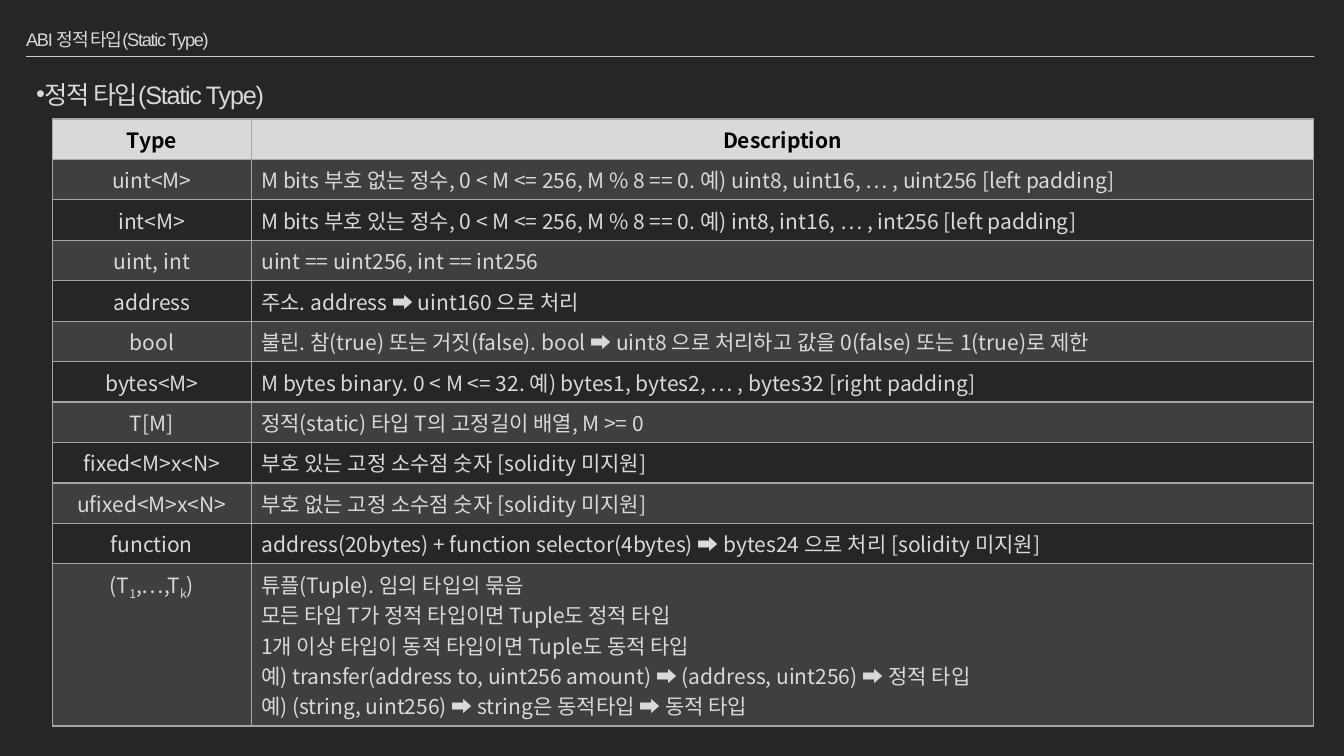
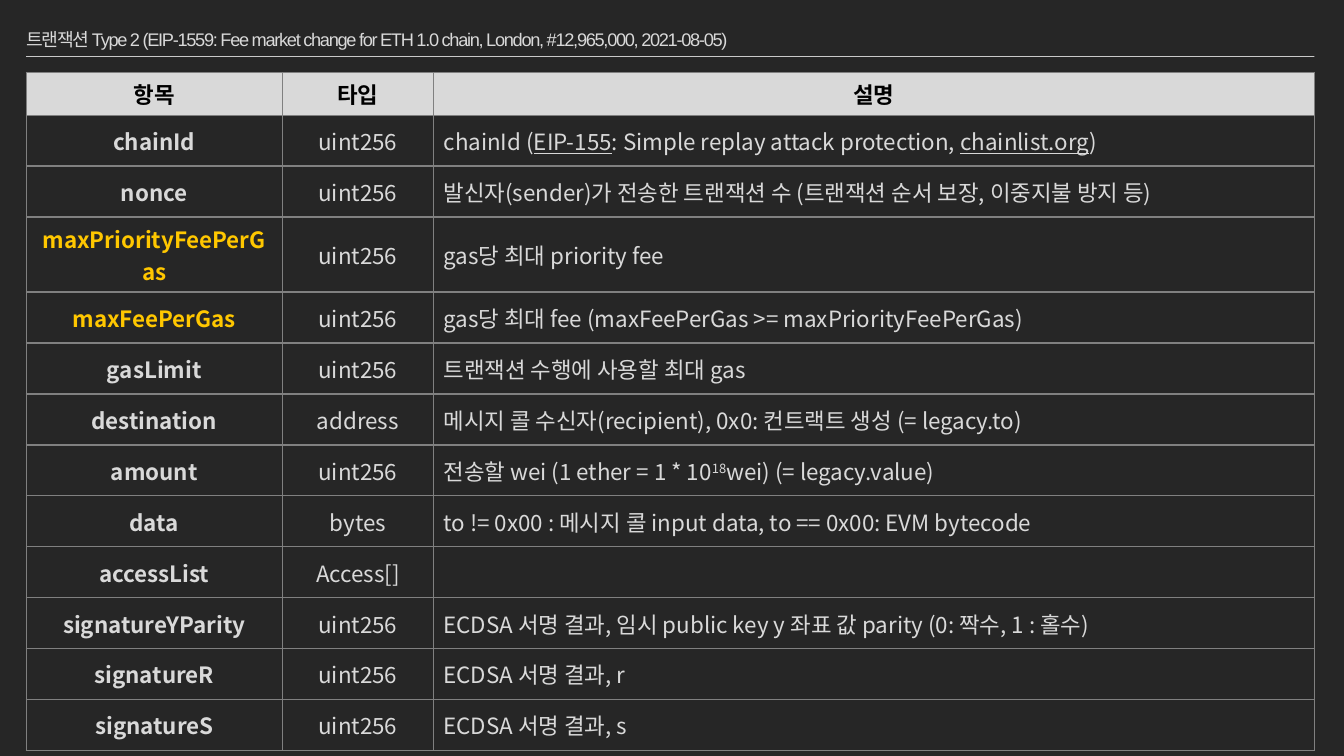
from lxml.etree import SubElement
from pptx import Presentation
from pptx.dml.color import RGBColor
from pptx.enum.shapes import MSO_CONNECTOR
from pptx.enum.text import MSO_ANCHOR, PP_ALIGN
from pptx.oxml.ns import qn
from pptx.util import Pt

COLORS = {
    "background": "262626",
    "text": "D9D9D9",
    "link": "D8D8D8",
    "header_text": "000000",
    "header_fill": "D9D9D9",
    "highlight": "FFC700",
    "band": "A5A5A5",
    "type_border": "A5A5A5",
    "field_border": "808080",
    "rule": "F2F2F2",
}
LATIN_FONT = "Arial"
TABLE_FONT = "Noto Sans CJK KR"
LEFT = 18.72
CONTENT_WIDTH = 920.16

TITLE = {"size": Pt(13), "name": LATIN_FONT, "color": "text", "spc": -90}
HEADING = {**TITLE, "size": Pt(18)}
TYPE_TEXT = {"size": Pt(15), "name": TABLE_FONT, "color": "text", "bold": False}
FIELD_TEXT = {**TYPE_TEXT, "size": Pt(16)}
HEADER = {"color": "header_text", "bold": True}
LINK = {"color": "link", "underline": True}
SUBSCRIPT = {"baseline": -25000}
SUPERSCRIPT = {"baseline": 30000}

TYPE_ROWS = [
    ("Type", "Description"),
    ("uint<M>", "M bits 부호 없는 정수, 0 < M <= 256, M % 8 == 0. 예) uint8, uint16, … , uint256 [left padding]"),
    ("int<M>", "M bits 부호 있는 정수, 0 < M <= 256, M % 8 == 0. 예) int8, int16, … , int256 [left padding]"),
    ("uint, int", "uint == uint256, int == int256"),
    ("address", "주소. address ➡ uint160 으로 처리"),
    ("bool", "불린. 참(true) 또는 거짓(false). bool ➡ uint8 으로 처리하고 값을 0(false) 또는 1(true)로 제한"),
    ("bytes<M>", "M bytes binary. 0 < M <= 32. 예) bytes1, bytes2, … , bytes32 [right padding]"),
    ("T[M]", "정적(static) 타입 T의 고정길이 배열, M >= 0"),
    ("fixed<M>x<N>", "부호 있는 고정 소수점 숫자 [solidity 미지원]"),
    ("ufixed<M>x<N>", "부호 없는 고정 소수점 숫자 [solidity 미지원]"),
    ("function", "address(20bytes) + function selector(4bytes) ➡ bytes24 으로 처리 [solidity 미지원]"),
    (
        [("(T", {}), ("1", SUBSCRIPT), (",…,T", {}), ("k", SUBSCRIPT), (")", {})],
        "튜플(Tuple). 임의 타입의 묶음\n"
        "모든 타입 T가 정적 타입이면 Tuple도 정적 타입\n"
        "1개 이상 타입이 동적 타입이면 Tuple도 동적 타입\n"
        "예) transfer(address to, uint256 amount) ➡ (address, uint256) ➡ 정적 타입\n"
        "예) (string, uint256) ➡ string은 동적타입 ➡ 동적 타입",
    ),
]
FIELD_ROWS = [
    ("항목", "타입", "설명"),
    ("chainId", "uint256", [
        ("chainId (", {}), ("EIP-155", LINK), (": Simple replay attack protection, ", {}),
        ("chainlist.org", LINK), (")", {}),
    ]),
    ("nonce", "uint256", "발신자(sender)가 전송한 트랜잭션 수 (트랜잭션 순서 보장, 이중지불 방지 등)"),
    ("maxPriorityFeePerGas", "uint256", "gas당 최대 priority fee"),
    ("maxFeePerGas", "uint256", "gas당 최대 fee (maxFeePerGas >= maxPriorityFeePerGas)"),
    ("gasLimit", "uint256", "트랜잭션 수행에 사용할 최대 gas"),
    ("destination", "address", "메시지 콜 수신자(recipient), 0x0: 컨트랙트 생성 (= legacy.to)"),
    ("amount", "uint256", [
        ("전송할 wei (1 ether = 1 * 10", {}), ("18", SUPERSCRIPT), ("wei) (= legacy.value)", {}),
    ]),
    ("data", "bytes", "to != 0x00 : 메시지 콜 input data, to == 0x00: EVM bytecode"),
    ("accessList", "Access[]", ""),
    ("signatureYParity", "uint256", "ECDSA 서명 결과, 임시 public key y 좌표 값 parity (0: 짝수, 1 : 홀수)"),
    ("signatureR", "uint256", "ECDSA 서명 결과, r"),
    ("signatureS", "uint256", "ECDSA 서명 결과, s"),
]
HIGHLIGHTED_FIELDS = {"maxPriorityFeePerGas", "maxFeePerGas"}


def rgb(name):
    return RGBColor.from_string(COLORS[name])


def set_alpha(fill_parent, percent):
    color = next(fill_parent.iter(qn("a:srgbClr")))
    SubElement(color, qn("a:alpha"), val=str(percent * 1000))


def format_run(run, style):
    properties = run._r.get_or_add_rPr()
    for key, value in style.items():
        if key == "color":
            run.font.color.rgb = rgb(value)
        elif key in ("spc", "baseline"):
            properties.set(key, str(value))
        else:
            setattr(run.font, key, value)
    SubElement(properties, qn("a:ea"), typeface=TABLE_FONT)


def write_text(frame, content, style, alignment=PP_ALIGN.LEFT, line_spacing=None):
    lines = [[(line, {})] for line in content.split("\n")] if isinstance(content, str) else [content]
    for index, runs in enumerate(lines):
        paragraph = frame.add_paragraph() if index else frame.paragraphs[0]
        paragraph.alignment = alignment
        paragraph.line_spacing = line_spacing
        for text, changes in runs:
            if text:
                run = paragraph.add_run()
                run.text = text
                format_run(run, {**style, **changes})


def add_text(slide, box, text, style, frame_format):
    frame = slide.shapes.add_textbox(*map(Pt, box)).text_frame
    for key, value in {"word_wrap": True, **frame_format}.items():
        setattr(frame, key, value)
    write_text(frame, text, style, line_spacing=1.05)
    return frame


def add_title(slide, text):
    left, top, width, height = LEFT, 15.12, CONTENT_WIDTH, 25.2
    add_text(slide, (left, top, width, height), text, TITLE, {
        "margin_left": 0, "margin_right": 0, "vertical_anchor": MSO_ANCHOR.MIDDLE,
    })
    bottom = top + height
    rule = slide.shapes.add_connector(
        MSO_CONNECTOR.STRAIGHT, *map(Pt, (left, bottom, left + width, bottom)))
    rule.line.color.rgb = rgb("rule")
    rule.line.width = Pt(0.5)
    properties = rule._element.spPr
    set_alpha(properties, 80)
    SubElement(properties, qn("a:effectLst"))


def add_heading(slide, box, text):
    frame = add_text(slide, box, text, HEADING, {})
    properties = frame.paragraphs[0]._p.get_or_add_pPr()
    properties.set("marL", "0")
    properties.set("indent", str(-Pt(11.5)))
    SubElement(properties, qn("a:buFont"), typeface=LATIN_FONT)
    SubElement(properties, qn("a:buChar"), char="•")


def format_cell(cell, border, fill, alpha):
    properties = cell._tc.get_or_add_tcPr()
    for side in ("lnL", "lnR", "lnT", "lnB"):
        line = SubElement(properties, qn(f"a:{side}"), w=str(Pt(1)))
        solid = SubElement(line, qn("a:solidFill"))
        SubElement(solid, qn("a:srgbClr"), val=COLORS[border])
    if fill is None:
        cell.fill.background()
        return
    cell.fill.solid()
    cell.fill.fore_color.rgb = rgb(fill)
    if alpha:
        set_alpha(properties.find(qn("a:solidFill")), alpha)


def add_grid(slide, left, top, widths, heights, rows, style, border,
             banded=False, anchor=MSO_ANCHOR.TOP, first_column=None):
    box = map(Pt, (left, top, sum(widths), sum(heights)))
    table = slide.shapes.add_table(len(rows), len(widths), *box).table
    table.first_row = table.horz_banding = False
    for column, width in zip(table.columns, widths):
        column.width = Pt(width)
    for row, height in zip(table.rows, heights):
        row.height = Pt(height)
    for row_index, values in enumerate(rows):
        is_header = row_index == 0
        for column_index, content in enumerate(values):
            cell = table.cell(row_index, column_index)
            fill, alpha = None, None
            if is_header:
                fill = "header_fill"
            elif banded and row_index % 2:
                fill, alpha = "band", 20
            format_cell(cell, border, fill, alpha)
            cell.vertical_anchor = MSO_ANCHOR.TOP if is_header else anchor
            changes = HEADER if is_header else {}
            if first_column and column_index == 0 and not is_header:
                changes = first_column(content)
            is_description = column_index == len(widths) - 1 and not is_header
            alignment = PP_ALIGN.LEFT if is_description else PP_ALIGN.CENTER
            write_text(cell.text_frame, content, {**style, **changes}, alignment)


def field_name_style(name):
    return {"bold": True, "color": "highlight" if name in HIGHLIGHTED_FIELDS else "text"}


def add_static_type_slide(slide):
    add_title(slide, "ABI 정적 타입(Static Type)")
    add_heading(slide, (LEFT, 51.84, CONTENT_WIDTH, 32), "정적 타입(Static Type)")
    heights = [28.9] * (len(TYPE_ROWS) - 1) + [115.8]
    add_grid(slide, 37.44, 85, (142, 759), heights, TYPE_ROWS, TYPE_TEXT,
             "type_border", banded=True)


def add_transaction_slide(slide):
    add_title(slide, "트랜잭션 Type 2 (EIP-1559: Fee market change for ETH 1.0 chain, "
                     "London, #12,965,000, 2021-08-05)")
    heights = [30.4] + [53.6 if row[0] == "maxPriorityFeePerGas" else 36.4 for row in FIELD_ROWS[1:]]
    add_grid(slide, LEFT, 51.84, (183, 108, 629), heights, FIELD_ROWS, FIELD_TEXT,
             "field_border", anchor=MSO_ANCHOR.MIDDLE, first_column=field_name_style)


def main():
    presentation = Presentation()
    presentation.slide_width, presentation.slide_height = Pt(960), Pt(540)
    background = presentation.slide_master.background.fill
    background.solid()
    background.fore_color.rgb = rgb("background")
    for build in (add_static_type_slide, add_transaction_slide):
        build(presentation.slides.add_slide(presentation.slide_layouts[6]))
    presentation.save("out.pptx")


if __name__ == "__main__":
    main()
